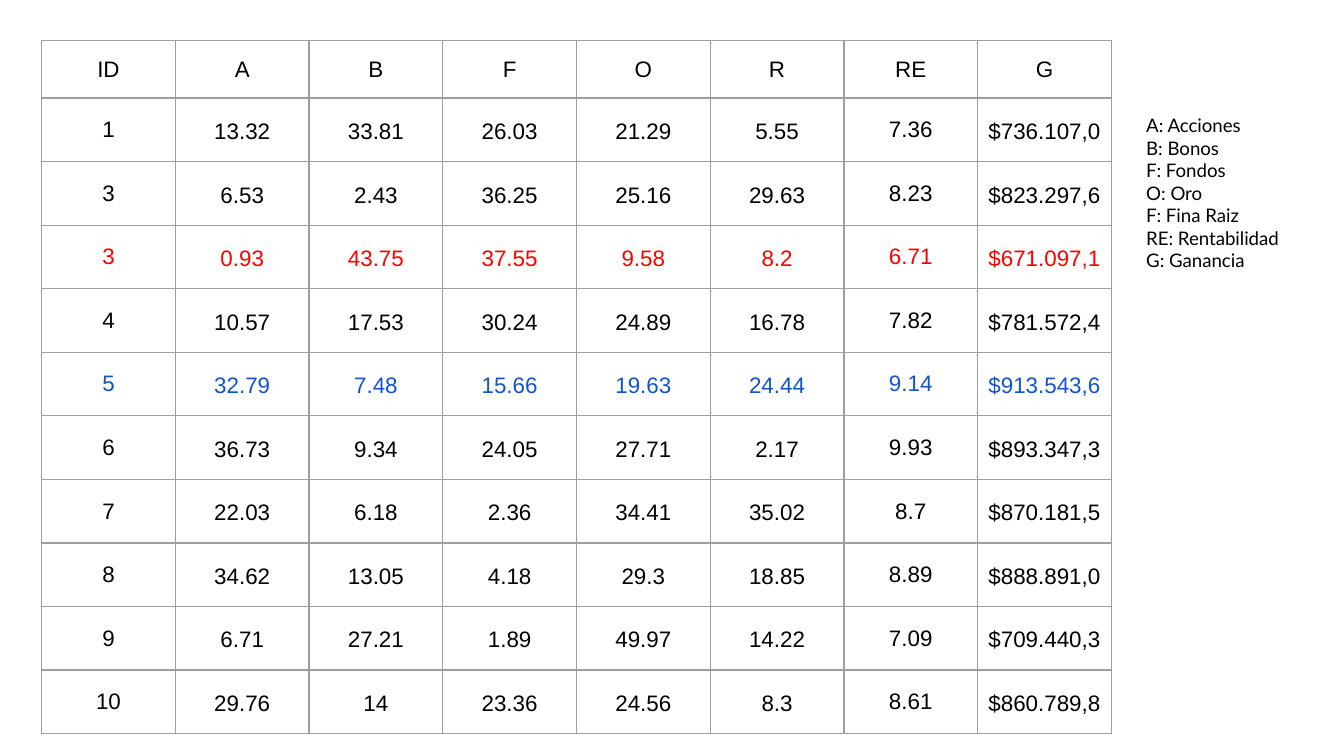
"""Builds a slide with a table of portfolio mixes and a key to its columns."""
import pptx
import pptx.dml.color
import pptx.enum.text
import pptx.oxml
import pptx.oxml.ns
import pptx.util
from pptx.util import Inches

HEADS = ["ID", "A", "B", "F", "O", "R", "RE", "G"]
ROWS = [
    ["1", "13.32", "33.81", "26.03", "21.29", "5.55", "7.36", "$736.107,0"],
    ["3", "6.53", "2.43", "36.25", "25.16", "29.63", "8.23", "$823.297,6"],
    ["3", "0.93", "43.75", "37.55", "9.58", "8.2", "6.71", "$671.097,1"],
    ["4", "10.57", "17.53", "30.24", "24.89", "16.78", "7.82", "$781.572,4"],
    ["5", "32.79", "7.48", "15.66", "19.63", "24.44", "9.14", "$913.543,6"],
    ["6", "36.73", "9.34", "24.05", "27.71", "2.17", "9.93", "$893.347,3"],
    ["7", "22.03", "6.18", "2.36", "34.41", "35.02", "8.7", "$870.181,5"],
    ["8", "34.62", "13.05", "4.18", "29.3", "18.85", "8.89", "$888.891,0"],
    ["9", "6.71", "27.21", "1.89", "49.97", "14.22", "7.09", "$709.440,3"],
    ["10", "29.76", "14", "23.36", "24.56", "8.3", "8.61", "$860.789,8"],
]
KEY = [
    ["A: Acciones", "B: Bonos", "F: Fondos"],
    ["O: Oro"],
    ["F: Fina Raiz", "RE: Rentabilidad"],
    ["G: Ganancia"],
]
BLACK, WHITE, GREY = "000000", "FFFFFF", "9E9E9E"
TINTS = {3: "FF0000", 5: "1155CC"}
ROOMY = {"ID", "RE"}
WIDE = 10
LEFT, TOP, WIDTH, HEIGHT, HEAD = 0.31, 0.3, 7.96, 5.16, 0.43


def color(code):
    return pptx.dml.color.RGBColor.from_string(code)


def style(para, size, face, code):
    for run in para.runs:
        run.font.size = pptx.util.Pt(size)
        run.font.name = face
        run.font.color.rgb = color(code)


def inset(box, across, down):
    box.margin_left = box.margin_right = Inches(across)
    box.margin_top = box.margin_bottom = Inches(down)


def border(cell):
    props = cell._tc.get_or_add_tcPr()
    for side in ("lnL", "lnR", "lnT", "lnB"):
        props.append(pptx.oxml.parse_xml(
            f'<a:{side} {pptx.oxml.ns.nsdecls("a")} w="{pptx.util.Pt(0.75)}">'
            f'<a:solidFill><a:srgbClr val="{GREY}"/></a:solidFill></a:{side}>'))


def fill_cell(cell, text, tint, tight):
    cell.text_frame.text = text
    cell.vertical_anchor = pptx.enum.text.MSO_ANCHOR.MIDDLE
    para = cell.text_frame.paragraphs[0]
    para.alignment = pptx.enum.text.PP_ALIGN.CENTER
    style(para, 12, "Arial", tint)
    border(cell)
    if tight:
        inset(cell, 0.03, 0.02)
        para.line_spacing = 1.15
        cell.fill.solid()
        cell.fill.fore_color.rgb = color(WHITE)
    else:
        inset(cell, 0.1, 0.1)
        cell.fill.background()


def add_grid(slide):
    data = [HEADS] + ROWS
    grid = slide.shapes.add_table(
        len(data), len(HEADS), Inches(LEFT), Inches(TOP),
        Inches(WIDTH), Inches(HEIGHT)).table
    grid.first_row = grid.horz_banding = False
    for col in grid.columns:
        col.width = Inches(WIDTH / len(HEADS))
    for i, row in enumerate(data):
        grid.rows[i].height = Inches((HEIGHT - HEAD) / len(ROWS) if i else HEAD)
        for j, text in enumerate(row):
            tight = i > 0 and HEADS[j] not in ROOMY
            fill_cell(grid.cell(i, j), text, TINTS.get(i, BLACK), tight)


def add_key(slide):
    frame = slide.shapes.add_textbox(
        Inches(8.43), Inches(0.75), Inches(1.45), Inches(1.55)).text_frame
    frame.word_wrap = True
    inset(frame, 0.1, 0.1)
    frame.text = "\n".join("\v".join(lines) for lines in KEY)
    for para in frame.paragraphs:
        style(para, 10, "Lato", BLACK)


def main():
    deck = pptx.Presentation()
    deck.slide_width, deck.slide_height = Inches(WIDE), Inches(WIDE * 9 / 16)
    slide = deck.slides.add_slide(deck.slide_layouts[6])
    add_grid(slide)
    add_key(slide)
    deck.save("out.pptx")


if __name__ == "__main__":
    main()
